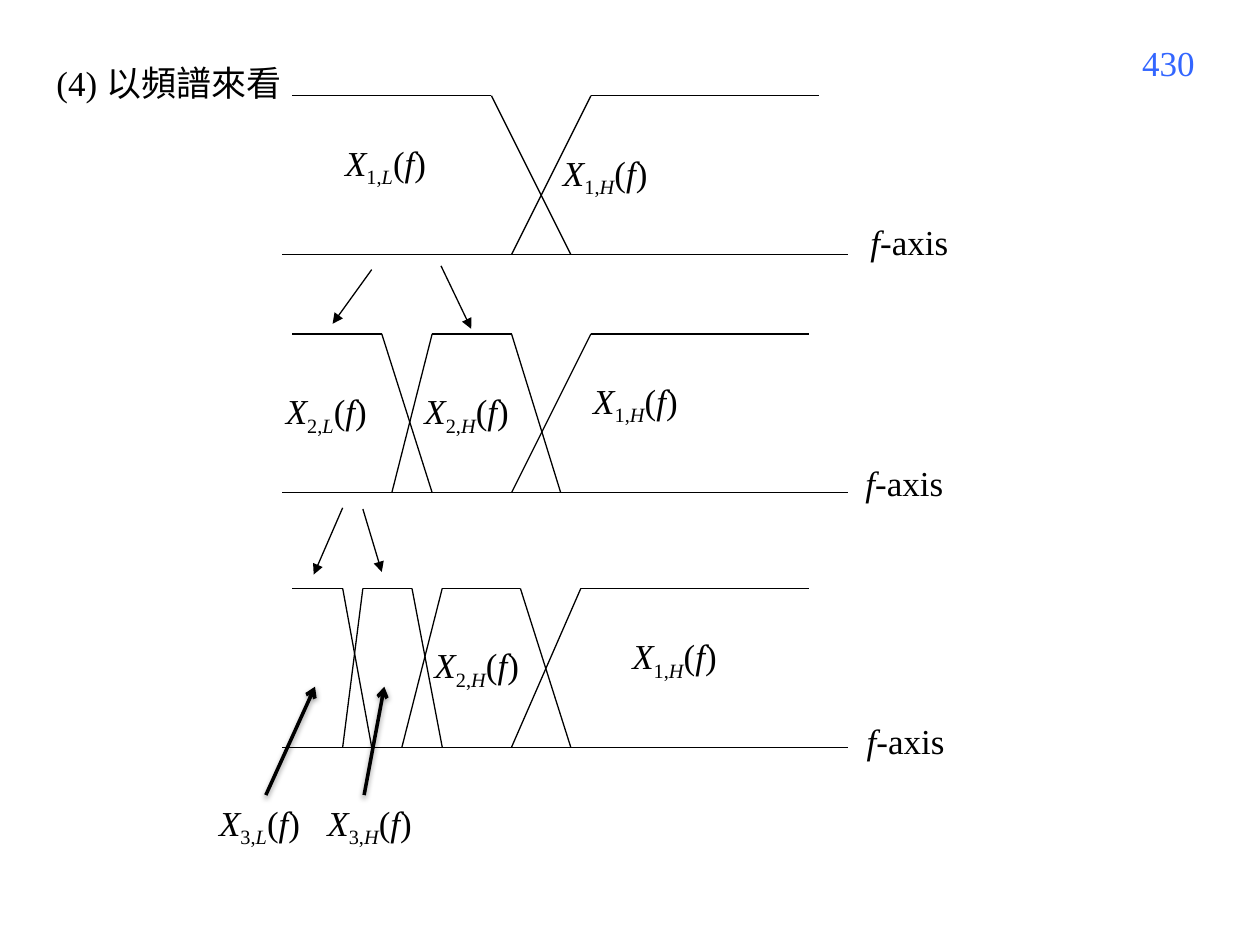
from pptx import Presentation
from pptx.dml.color import RGBColor
from pptx.enum.shapes import MSO_CONNECTOR as CONN
from pptx.enum.text import MSO_AUTO_SIZE as AUTO, PP_ALIGN as ALIGN
from pptx.oxml import parse_xml
from pptx.oxml.ns import nsdecls
from pptx.util import Inches, Pt

COLORS = {"ink": "000000", "page": "3366FF"}
FONT = "Times New Roman"
AXIS_LEFT, AXIS_WIDTH, BAND_HEIGHT = 2.24, 4.49, 1.26
SHADOW = (
    '<a:outerShdw blurRad="40000" dist="20000" dir="5400000" rotWithShape="0">'
    '<a:srgbClr val="000000"><a:alpha val="38000"/></a:srgbClr></a:outerShdw>'
)

# Lengths in each row are offsets from the row's box.
# bands: left foot, top left, top right, right foot (None: side left open)
# labels: subscript number, subscript letter, left, top
# splits and pointers: start x, start y, end x, end y
ROWS = [
    {"top": 0.76, "axis_label": (4.57, 0.94),
     "bands": [(None, 0.08, 1.66, 2.29), (1.82, 2.45, 4.26, None)],
     "labels": [("1", "L", 0.4, 0.31), ("1", "H", 2.13, 0.39)],
     "splits": [(0.71, 1.38, 0.4, 1.81), (1.26, 1.35, 1.5, 1.85)]},
    {"top": 2.65, "axis_label": (4.53, 0.96),
     "bands": [(None, 0.08, 0.79, 1.19), (0.87, 1.19, 1.82, 2.21),
               (1.82, 2.45, 4.18, None)],
     "labels": [("2", "L", -0.07, 0.39), ("2", "H", 1.03, 0.39),
                ("1", "H", 2.37, 0.31)],
     "splits": [(0.48, 1.38, 0.25, 1.91), (0.64, 1.39, 0.79, 1.89)]},
    {"top": 4.67, "axis_label": (4.54, 0.99),
     "bands": [(None, 0.08, 0.48, 0.71), (0.48, 0.64, 1.03, 1.27),
               (0.95, 1.27, 1.89, 2.29), (1.82, 2.37, 4.18, None)],
     "labels": [("3", "L", -0.6, 1.64), ("3", "H", 0.26, 1.64),
                ("2", "H", 1.11, 0.39), ("1", "H", 2.68, 0.32)],
     "pointers": [(-0.13, 1.64, 0.26, 0.78), (0.65, 1.64, 0.81, 0.78)]},
]


def add_line(slide, x1, y1, x2, y2, width=0.75, head=None, effect=""):
    line = slide.shapes.add_connector(
        CONN.STRAIGHT, Inches(x1), Inches(y1), Inches(x2), Inches(y2))
    line.line.color.rgb = RGBColor.from_string(COLORS["ink"])
    line.line.width = Pt(width)
    ns = nsdecls("a")
    if head:
        line.line._get_or_add_ln().append(
            parse_xml(f'<a:tailEnd {ns} type="{head}"/>'))
    line._element.spPr.append(
        parse_xml(f"<a:effectLst {ns}>{effect}</a:effectLst>"))


def add_text(slide, box, runs, color="ink", align=ALIGN.LEFT):
    """Each run is (text, italic, subscript)."""
    tf = slide.shapes.add_textbox(*map(Inches, box)).text_frame
    tf.word_wrap = True
    tf.auto_size = AUTO.SHAPE_TO_FIT_TEXT
    p = tf.paragraphs[0]
    p.alignment = align
    p.font.name = FONT
    p.font.size = Pt(20)
    p.font.color.rgb = RGBColor.from_string(COLORS[color])
    for text, italic, subscript in runs:
        r = p.add_run()
        r.text = text
        r.font.italic = italic
        if subscript:
            r.font._element.set("baseline", "-25000")


def add_header(slide):
    add_text(slide, (8.7, 0.28, 0.88, 0.52), [("430", False, False)],
             "page", ALIGN.RIGHT)
    add_text(slide, (0.35, 0.44, 8.43, 0.43), [("(4) 以頻譜來看", False, False)])


def add_spectrum(slide, left, top, width, height, row):
    def place(x1, y1, x2, y2, **style):
        add_line(slide, left + x1, top + y1, left + x2, top + y2, **style)

    # Frequency axis
    place(0, height, width, height)
    x, y = row["axis_label"]
    add_text(slide, (left + x, top + y, 1.1, 0.44),
             [("f", True, False), ("-axis", False, False)])

    # Filter bands
    for foot_left, top_left, top_right, foot_right in row["bands"]:
        place(top_left, 0, top_right, 0)
        if foot_left is not None:
            place(foot_left, height, top_left, 0)
        if foot_right is not None:
            place(top_right, 0, foot_right, height)

    # Band names
    for number, letter, x, y in row["labels"]:
        add_text(slide, (left + x, top + y, 1.26, 0.43),
                 [("X", True, False), (number + ",", False, True),
                  (letter, True, True), ("(", False, False),
                  ("f", True, False), (")", False, False)])

    # Arrows to the next row, and from names below to their bands
    for ends in row.get("splits", []):
        place(*ends, head="triangle")
    for ends in row.get("pointers", []):
        place(*ends, width=2, head="arrow", effect=SHADOW)


def main():
    prs = Presentation()
    prs.slide_width, prs.slide_height = Inches(10), Inches(7.5)
    slide = prs.slides.add_slide(prs.slide_layouts[6])
    add_header(slide)
    for row in ROWS:
        add_spectrum(slide, AXIS_LEFT, row["top"], AXIS_WIDTH, BAND_HEIGHT, row)
    prs.save("out.pptx")


if __name__ == "__main__":
    main()
